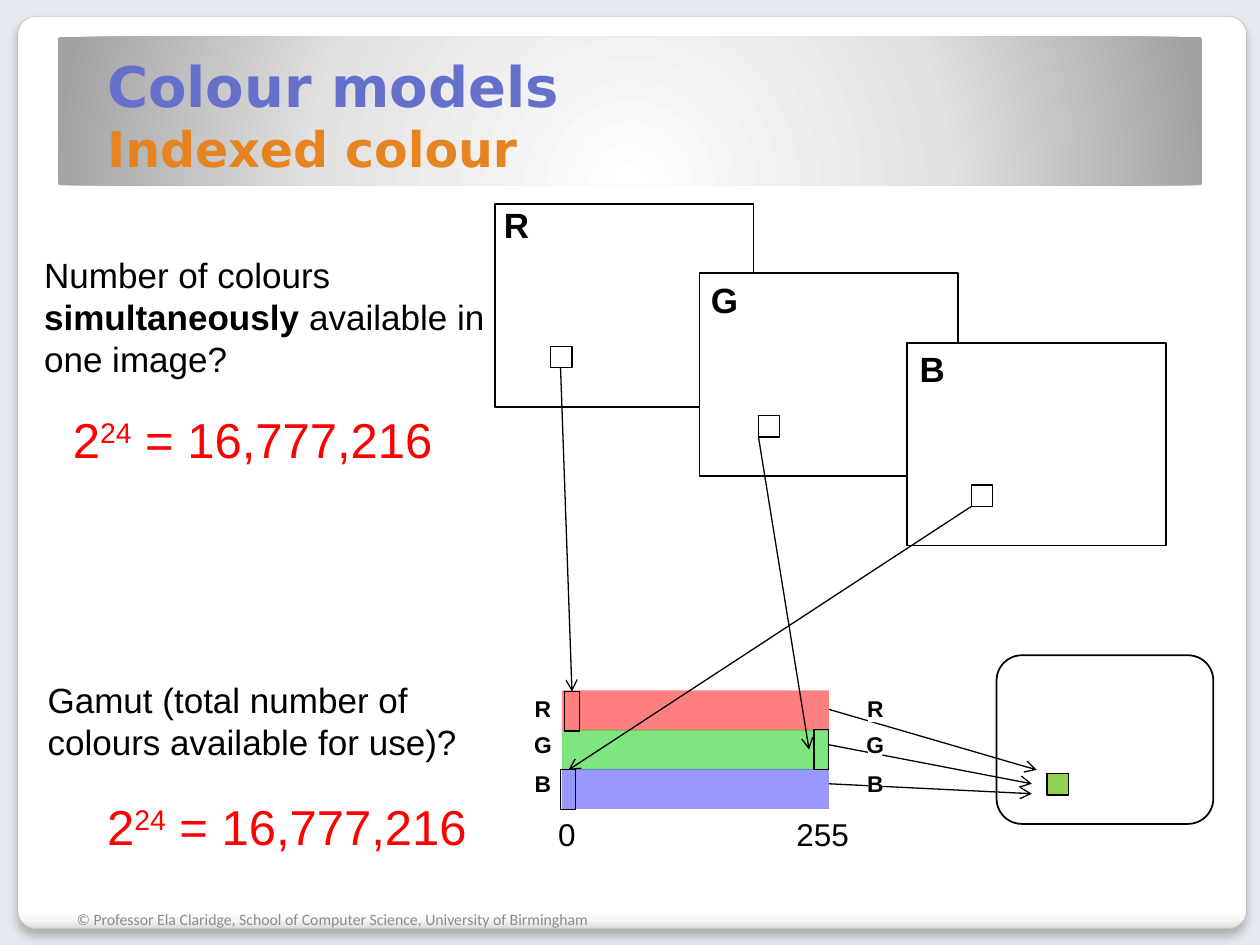
"""Build a slide on indexed colour: image planes, lookup table and display."""
from pptx import Presentation, oxml
from pptx import util as u
from pptx.dml.color import RGBColor
from pptx.enum import shapes, text
from pptx.oxml import ns

RECT = shapes.MSO_SHAPE.RECTANGLE
ROUND = shapes.MSO_SHAPE.ROUNDED_RECTANGLE
CENTER = text.PP_ALIGN.CENTER


def draw(kind, left, top, width, height, fill=None, line=None, weight=0.75):
    box = page.shapes.add_shape(kind, u.Cm(left), u.Cm(top), u.Cm(width), u.Cm(height))
    box.shadow.inherit = False
    for ink, colour in ((box.fill, fill), (box.line.fill, line)):
        if colour:
            ink.solid()
            ink.fore_color.rgb = RGBColor.from_string(colour)
        else:
            ink.background()
    if line:
        box.line.width = u.Pt(weight)
    return box


def write(box, pieces, size, colour="000000", bold=False, font="Arial",
          align=text.PP_ALIGN.LEFT, wrap=True, margin=None, anchor=text.MSO_ANCHOR.TOP):
    frame = box.text_frame
    frame.word_wrap = wrap
    frame.vertical_anchor = anchor
    if margin is not None:
        frame.margin_left = frame.margin_right = u.Cm(margin)
        frame.margin_top = frame.margin_bottom = u.Cm(margin)
    para = frame.paragraphs[0]
    para.alignment = align
    para.text = pieces[0]
    for piece in pieces[1:]:
        para.add_run().text = piece
    for span in para.runs:
        span.font.name = font
        span.font.size = u.Pt(size)
        span.font.bold = bold
        span.font.color.rgb = RGBColor.from_string(colour)
    return para.runs


deck = Presentation()
deck.slide_width, deck.slide_height = u.Cm(25.4), u.Cm(19.05)
page = deck.slides.add_slide(deck.slide_layouts[6])
page.background.fill.solid()
page.background.fill.fore_color.rgb = RGBColor.from_string("E4E9EF")

card = draw(ROUND, 0.36, 0.33, 24.77, 18.39, "FFFFFF", "A4A4A4", 0.16)
banner = draw(ROUND, 1.17, 0.74, 23.06, 3, "E1E1E1")
gradients = [
    (card, [(0, "FFFFFF"), (98, "FFFFFF"), (99, "F7F7F7"), (100, "DADADA")],
     '<a:lin ang="5400000" scaled="0"/>'),
    (banner, [(0, "FFFFFF"), (55, "E1E1E1"), (100, "A2A2A2")],
     '<a:path path="circle"><a:fillToRect l="50000" t="175000" r="50000" b="-75000"/></a:path>'),
]
for box, stops, direction in gradients:
    box.adjustments[0] = 0.02
    marks = "".join(f'<a:gs pos="{pos * 1000}"><a:srgbClr val="{colour}"/></a:gs>'
                    for pos, colour in stops)
    props = box._element.spPr
    props.replace(props.find(ns.qn("a:solidFill")), oxml.parse_xml(
        f'<a:gradFill {ns.nsdecls("a")} rotWithShape="1"><a:gsLst>{marks}</a:gsLst>'
        f'{direction}</a:gradFill>'))
card._element.spPr.find(ns.qn("a:effectLst")).append(oxml.parse_xml(
    f'<a:outerShdw {ns.nsdecls("a")} blurRad="76200" dist="50800" dir="5400000">'
    '<a:srgbClr val="000000"><a:alpha val="25000"/></a:srgbClr></a:outerShdw>'))

title = draw(RECT, 1.91, 0.53, 21.59, 3.18)
spans = write(title, ["Colour models\vIndexed colour"], 32, "6470CA", True,
              "DejaVu Sans", anchor=text.MSO_ANCHOR.BOTTOM)
spans[1].font.size = u.Pt(28)
spans[1].font.color.rgb = RGBColor.from_string("E68422")

question = draw(RECT, 0.64, 4.98, 9.65, 2.82)
spans = write(question, ["Number of colours ", "simultaneously",
                         " available in one image?"], 20)
spans[1].font.bold = True
write(draw(RECT, 0.71, 13.56, 8.94, 1.96),
      ["Gamut (total number of colours available for use)?"], 20)
for left, top in ((1.22, 8.13), (1.91, 15.93)):
    spans = write(draw(RECT, left, top, 7.9, 1.45), ["2", "24", " = 16,777,216"],
                  28, "FE0000", wrap=False)
    spans[1]._r.get_or_add_rPr().set("baseline", "30000")

draw(RECT, 9.47, 14.02, 4.19, 1.6, "FFFFFF")
for row, colour in enumerate(("FE0000", "00CC00", "3333FF")):
    band = draw(RECT, 11.33, 13.92 + 0.79 * row, 5.38, 0.81, colour)
    tint = band._element.spPr.find(".//" + ns.qn("a:srgbClr"))
    tint.append(oxml.parse_xml(f'<a:alpha {ns.nsdecls("a")} val="50000"/>'))

screen = draw(ROUND, 20.09, 13.21, 4.37, 3.4, "FFFFFF", "000000", 1)
screen.adjustments[0] = 0.15

for row, left in enumerate((9.98, 14.1, 18.29)):
    draw(RECT, left, 4.11 + 1.4 * row, 5.21, 4.09, "FFFFFF", "000000", 1)
for row, left in enumerate((11.1, 15.29, 19.58)):
    draw(RECT, left, 6.98 + 1.4 * row, 0.43, 0.43, line="000000")
for name, left, top in (("R", 10.01, 4.11), ("G", 14.2, 5.61), ("B", 18.39, 7.01)):
    write(draw(RECT, left, top, 0.81, 0.86), [name], 20, bold=True, align=CENTER, margin=0)
for left, top in ((11.38, 13.94), (16.41, 14.71), (11.3, 15.52)):
    draw(RECT, left, top, 0.3, 0.8, line="000000")

arrows = [
    (11.3, 7.42, 11.53, 13.94),
    (15.29, 8.81, 16.31, 15.11),
    (19.58, 10.21, 11.46, 15.52),
    (16.71, 14.3, 20.9, 15.52),
    (16.69, 15.01, 20.8, 15.8),
    (16.71, 15.8, 20.8, 16),
]
for ends in arrows:
    arrow = page.shapes.add_connector(shapes.MSO_CONNECTOR.STRAIGHT, *map(u.Cm, ends))
    arrow.line.width = u.Pt(0.75)
    arrow.line.color.rgb = RGBColor.from_string("000000")
    arrow.line._get_or_add_ln().append(
        oxml.parse_xml(f'<a:tailEnd {ns.nsdecls("a")} type="arrow"/>'))
    arrow._element.spPr.append(oxml.parse_xml(f'<a:effectLst {ns.nsdecls("a")}/>'))

for left, fill in ((10.8, None), (17.5, "FFFFFF")):
    for name, top in (("R", 14), ("G", 14.73), ("B", 15.52)):
        write(draw(RECT, left, top, 0.29, 0.56, fill), [name], 13, bold=True,
              align=CENTER, wrap=False, margin=0)
for value, left, width in (("0", 11, 0.86), ("255", 15.8, 1.57)):
    write(draw(RECT, left, 16.31, width, 1.02), [value], 18, align=CENTER, wrap=False)
draw(RECT, 21.11, 15.6, 0.43, 0.43, "92D050", "000000")

footer = draw(RECT, 1.3, 18.03, 11.33, 1.02)
write(footer, ["© Professor Ela Claridge, School of Computer Science, University of Birmingham"],
      9, "8C8C8C", font="Calibri", anchor=text.MSO_ANCHOR.MIDDLE)

deck.save("out.pptx")
